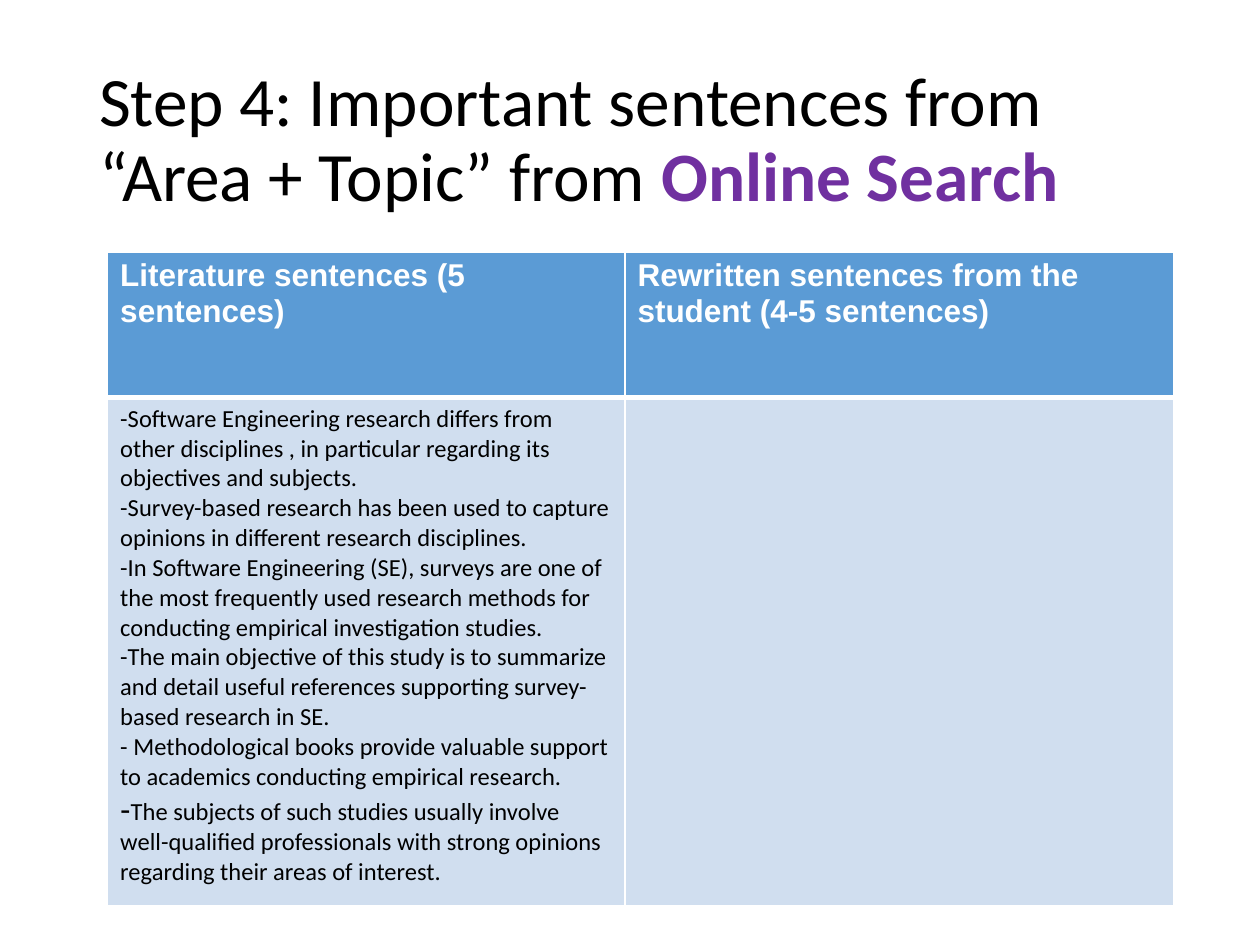
from dataclasses import dataclass

from lxml.etree import SubElement
from pptx import Presentation
from pptx.dml.color import RGBColor as Color
from pptx.enum.text import MSO_ANCHOR as Anchor
from pptx.oxml.ns import qn
from pptx.util import Pt


@dataclass(frozen=True)
class Theme:
    black: str = "000000"
    white: str = "FFFFFF"
    purple: str = "7030A0"
    header_fill: str = "5B9BD5"
    body_fill: str = "D0DEEF"
    title_size: float = 39.6
    header_size: float = 18
    body_size: float = 14
    heading_font: str = "Arial"
    text_font: str = "Calibri"


@dataclass(frozen=True)
class Style:
    name: str
    size: float
    color: str
    bold: bool = False


@dataclass(frozen=True)
class Span:
    text: str
    style: Style


@dataclass(frozen=True)
class CellSpec:
    paras: list[list[Span]]
    fill: str
    borders: dict[str, float]


THEME = Theme()
TITLE = Style(THEME.text_font, THEME.title_size, THEME.black)
ACCENT = Style(THEME.text_font, THEME.title_size, THEME.purple, True)
HEADER = Style(THEME.heading_font, THEME.header_size, THEME.white, True)
BODY = Style(THEME.text_font, THEME.body_size, THEME.black)
DASH = Style(THEME.heading_font, THEME.header_size, THEME.black)

HEADINGS = [
    "Literature sentences (5 sentences)",
    "Rewritten sentences from the student (4-5 sentences)",
]
SENTENCES = [
    "-Software Engineering research diﬀers from other disciplines , in particular regarding its objectives and subjects. ",
    "-Survey-based research has been used to capture opinions in diﬀerent research disciplines.",
    "-In Software Engineering (SE), surveys are one of the most frequently used research methods for conducting empirical investigation studies.",
    "-The main objective of this study is to summarize and detail useful references supporting survey-based research in SE.",
    "- Methodological books provide valuable support to academics conducting empirical research.",
]
LAST_SENTENCE = "The subjects of such studies usually involve well-qualiﬁed professionals with strong opinions regarding their areas of interest."

HEADER_BORDERS = {"lnL": 1, "lnR": 1, "lnT": 1, "lnB": 3}
BODY_BORDERS = {"lnL": 1, "lnR": 1, "lnT": 3, "lnB": 1}
COLUMN_WIDTHS = [295.6, 313.6]
ROW_HEIGHTS = [83.3, 290.4]


def fill_text(frame, paras: list[list[Span]], spacing: float = 1.0) -> None:
    for index, spans in enumerate(paras):
        para = frame.add_paragraph() if index else frame.paragraphs[0]
        para.line_spacing = spacing
        for span in spans:
            run = para.add_run()
            run.text = span.text
            style = span.style
            values = {"name": style.name, "size": Pt(style.size), "bold": style.bold}
            for key, value in values.items():
                setattr(run.font, key, value)
            run.font.color.rgb = Color.from_string(style.color)


def draw_title(page) -> None:
    box = page.shapes.add_textbox(Pt(49.5), Pt(28.8), Pt(620.6), Pt(104.4))
    box.text_frame.word_wrap = True
    box.text_frame.vertical_anchor = Anchor.MIDDLE
    spans = [
        Span("Step 4: Important sentences from “Area + Topic” from ", TITLE),
        Span("Online Search", ACCENT),
    ]
    fill_text(box.text_frame, [spans], 0.9)


def draw_cell(cell, spec: CellSpec) -> None:
    properties = cell._tc.get_or_add_tcPr()
    for tag, width in spec.borders.items():
        line = SubElement(properties, qn(f"a:{tag}"), w=str(Pt(width)))
        solid = SubElement(line, qn("a:solidFill"))
        SubElement(solid, qn("a:srgbClr"), val=THEME.white)
    cell.fill.solid()
    cell.fill.fore_color.rgb = Color.from_string(spec.fill)
    fill_text(cell.text_frame, spec.paras)


def draw_table(page, rows: list[list[CellSpec]]) -> None:
    table = page.shapes.add_table(
        len(ROW_HEIGHTS), len(COLUMN_WIDTHS), Pt(61.5), Pt(144),
        Pt(sum(COLUMN_WIDTHS)), Pt(sum(ROW_HEIGHTS)),
    ).table
    for column, width in zip(table.columns, COLUMN_WIDTHS):
        column.width = Pt(width)
    for row, height, specs in zip(table.rows, ROW_HEIGHTS, rows):
        row.height = Pt(height)
        for cell, spec in zip(row.cells, specs):
            draw_cell(cell, spec)


def main() -> None:
    deck = Presentation()
    deck.slide_width, deck.slide_height = Pt(720), Pt(540)
    page = deck.slides.add_slide(deck.slide_layouts[6])
    draw_title(page)
    literature = [[Span(text, BODY)] for text in SENTENCES]
    literature.append([Span("-", DASH), Span(LAST_SENTENCE, BODY)])
    draw_table(page, [
        [CellSpec([[Span(text, HEADER)]], THEME.header_fill, HEADER_BORDERS) for text in HEADINGS],
        [CellSpec(paras, THEME.body_fill, BODY_BORDERS) for paras in (literature, [])],
    ])
    deck.save("out.pptx")


if __name__ == "__main__":
    main()
